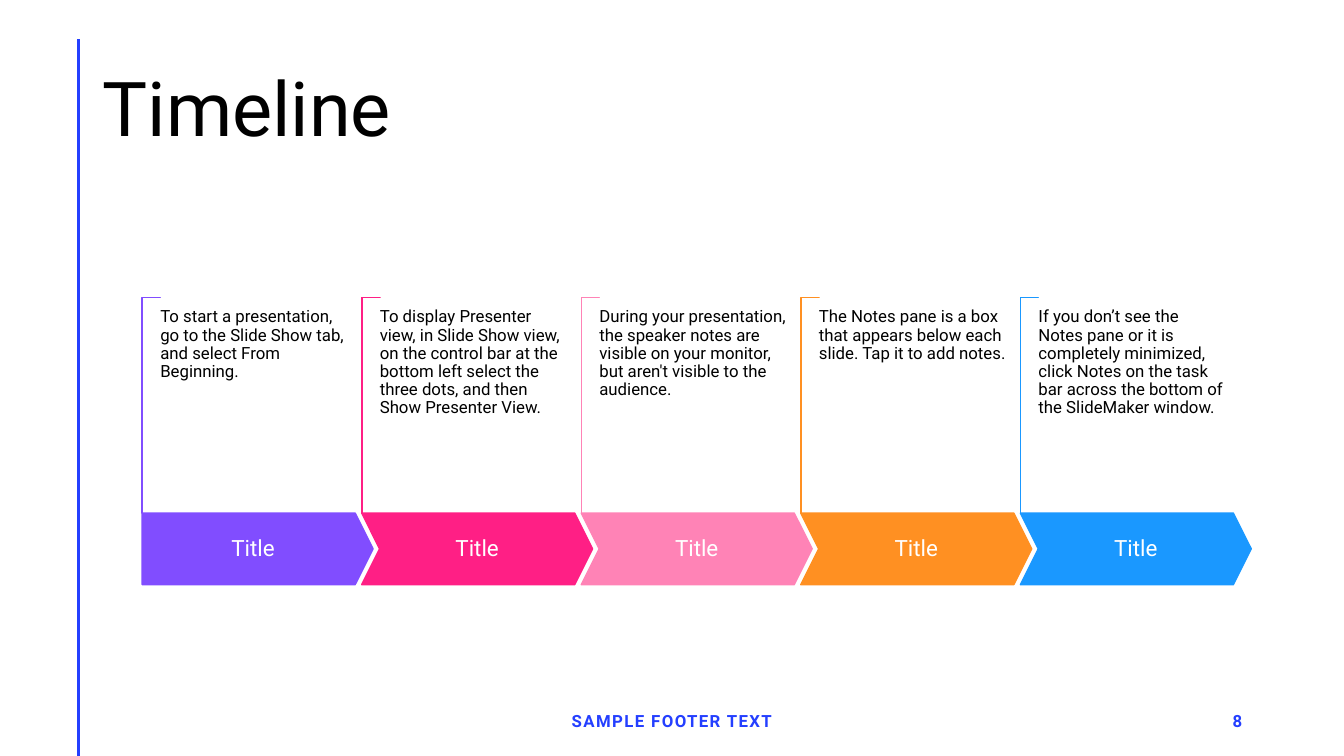
from lxml import etree
from pptx import Presentation
from pptx import util as u
from pptx.dml import color
from pptx.enum import shapes, text
from pptx.oxml import ns

COLUMNS, ROWS = 133.3, 75
CELL = u.Inches(0.1)
FONT = "Roboto"
COLORS = {
    "accent": "243FFF", "ink": "000000", "paper": "FFFFFF",
    "violet": "814DFF", "magenta": "FF1F85", "pink": "FF83B6",
    "orange": "FF9022", "blue": "1A98FF",
}
STAGES = [
    ("violet", "To start a presentation, go to the Slide Show tab, and select From Beginning."),
    ("magenta", "To display Presenter view, in Slide Show view, on the control bar at the bottom left "
                "select the three dots, and then Show Presenter View."),
    ("pink", "During your presentation, the speaker notes are visible on your monitor, "
             "but aren't visible to the audience."),
    ("orange", "The Notes pane is a box that appears below each slide. Tap it to add notes."),
    ("blue", "If you don’t see the Notes pane or it is completely minimized, click Notes on the "
             "task bar across the bottom of the SlideMaker window."),
]
MIDDLE = {"vertical_anchor": text.MSO_ANCHOR.MIDDLE}
FLUSH = {"margin_left": 0, "margin_right": 0, "margin_top": 0, "margin_bottom": 0}
CENTER = {"alignment": text.PP_ALIGN.CENTER}
RIGHT = {"alignment": text.PP_ALIGN.RIGHT}
TIGHT = {"line_spacing": 0.9}


def cells(*counts):
    return [round(count * CELL) for count in counts]


def rgb(name):
    return color.RGBColor.from_string(COLORS[name])


def apply(target, formats):
    for name, value in formats.items():
        setattr(target, name, value)


def add_words(slide, box, words, size, ink, frame_format, paragraph_format, bold=False, tracking=0):
    frame = slide.shapes.add_textbox(*cells(*box)).text_frame
    apply(frame, {"word_wrap": True, **frame_format})
    paragraph = frame.paragraphs[0]
    apply(paragraph, paragraph_format)
    run = paragraph.add_run()
    run.text = words
    apply(run.font, {"name": FONT, "size": u.Pt(size), "bold": bold})
    run.font.color.rgb = rgb(ink)
    if tracking:
        run._r.get_or_add_rPr().set("spc", str(tracking * 100))


def add_outline(slide, preset, box, fill, line, adjustments):
    shape = slide.shapes.add_shape(preset, *cells(*box))
    shape.shadow.inherit = False
    shape.fill.solid()
    shape.fill.fore_color.rgb = rgb(fill)
    shape.line.color.rgb = rgb(line)
    shape.line.width = u.Pt(1)
    for index, value in enumerate(adjustments):
        shape.adjustments[index] = value
    return shape


def add_heading(slide, left, top, width, height):
    rule = slide.shapes.add_connector(
        shapes.MSO_CONNECTOR.STRAIGHT, *cells(left - 1.4, top, left - 1.4, ROWS))
    rule.line.color.rgb = rgb("accent")
    rule.line.width = u.Pt(2)
    etree.SubElement(rule._element.spPr, ns.qn("a:effectLst"))
    add_words(slide, (left, top, width, height), "Timeline", 54, "ink", MIDDLE, TIGHT)


def add_stage(slide, left, top, width, height, hue, note, first):
    arrow_height, bracket_width, tip = 7.1, 1.8, 0.25
    bracket_height = height - arrow_height
    arrow_top = top + bracket_height
    bracket = add_outline(
        slide, shapes.MSO_SHAPE.CORNER,
        (left + (bracket_width - bracket_height) / 2, top + (bracket_height - bracket_width) / 2,
         bracket_height, bracket_width), "paper", hue, (0.01, 0.01))
    bracket.rotation = 90
    preset = shapes.MSO_SHAPE.PENTAGON if first else shapes.MSO_SHAPE.CHEVRON
    add_outline(slide, preset, (left, arrow_top, width, arrow_height), hue, hue, (tip,))
    notch = arrow_height * tip
    title_left = left if first else left + notch
    title_right = left + width - (notch / 2 if first else notch)
    add_words(slide, (title_left, arrow_top, title_right - title_left, arrow_height),
              "Title", 16, "paper", MIDDLE, {**CENTER, **TIGHT})
    add_words(slide, (left + bracket_width, top + 1.1, 18.6, 19.2), note, 12, "ink", FLUSH, TIGHT)


def add_timeline(slide, left, top, width, height):
    arrow_width = 22.9
    pitch = (width - arrow_width) / (len(STAGES) - 1)
    for index, (hue, note) in enumerate(STAGES):
        add_stage(slide, left + index * pitch, top, arrow_width, height, hue, note, index == 0)


def add_footer(slide, left, top, width, height):
    label_width, number_width = 45, 30
    label_left = (COLUMNS - label_width) / 2
    number_left = left + width - number_width
    for words, start, span, alignment in (
            ("SAMPLE FOOTER TEXT", label_left, label_width, CENTER),
            ("8", number_left, number_width, RIGHT)):
        add_words(slide, (start, top, span, height), words, 12, "accent", MIDDLE, alignment,
                  bold=True, tracking=1)


def main():
    deck = Presentation()
    deck.slide_width, deck.slide_height = cells(COLUMNS, ROWS)
    slide = deck.slides.add_slide(deck.slide_layouts[6])
    add_heading(slide, 9.2, 3.9, 115, 14.5)
    add_timeline(slide, 14.1, 29.5, 110, 28.5)
    add_footer(slide, 9.2, 69.5, 115, 4)
    deck.save("out.pptx")


if __name__ == "__main__":
    main()
